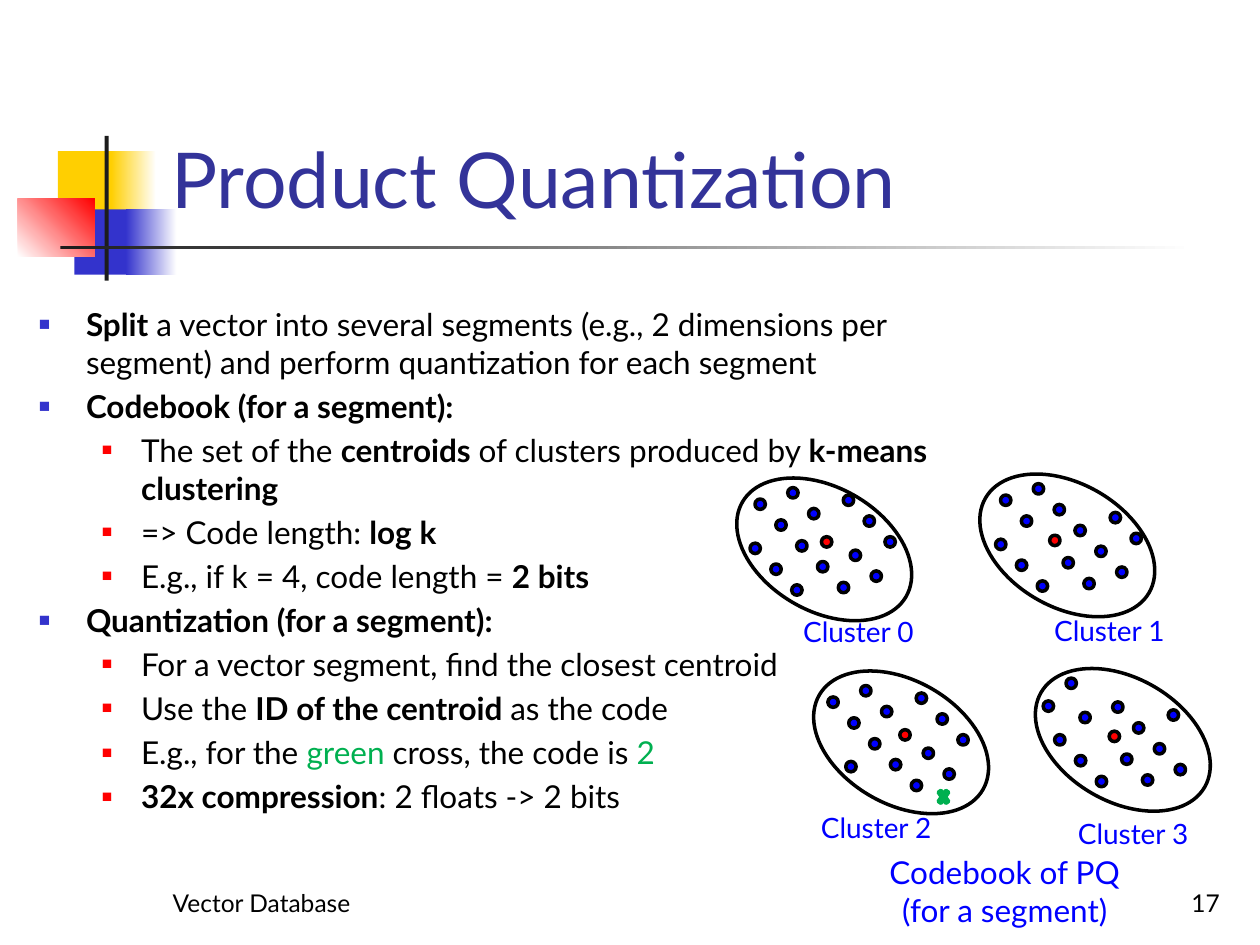
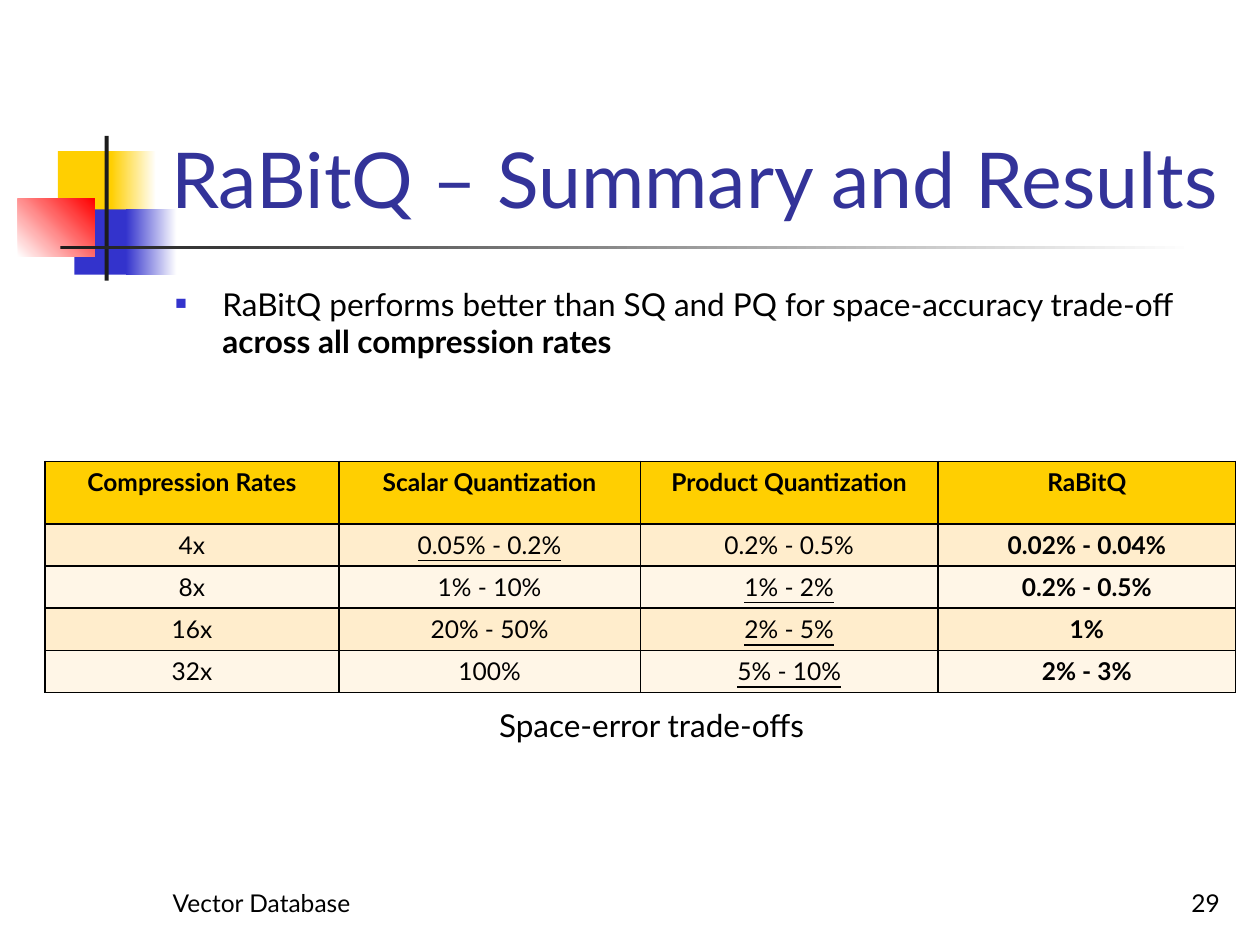
import pptx
import pptx.dml.color
import pptx.enum.shapes
import pptx.enum.text
import pptx.oxml.ns
import pptx.util
from lxml import etree

Cm = pptx.util.Cm
Pt = pptx.util.Pt
RGBColor = pptx.dml.color.RGBColor
Preset = pptx.enum.shapes.MSO_SHAPE
Align = pptx.enum.text.PP_ALIGN
Anchor = pptx.enum.text.MSO_ANCHOR
qn = pptx.oxml.ns.qn

FONT = "Lato"
BLACK = RGBColor(0x00, 0x00, 0x00)
WHITE = RGBColor(0xFF, 0xFF, 0xFF)
CHARCOAL = RGBColor(0x1C, 0x1C, 0x1C)
YELLOW = RGBColor(0xFF, 0xCF, 0x01)
INDIGO = RGBColor(0x33, 0x33, 0xCC)
TITLE_BLUE = RGBColor(0x33, 0x33, 0x99)
BLUE = RGBColor(0x00, 0x00, 0xFF)
RED = RGBColor(0xFF, 0x00, 0x00)
GREEN = RGBColor(0x00, 0xB0, 0x50)
DARK_CREAM = RGBColor(0xFF, 0xED, 0xCC)
LIGHT_CREAM = RGBColor(0xFF, 0xF6, 0xE7)


def add_block(shapes, preset, box, fill=None, line=None):
    """Add a shape; a pair of colours as fill makes a gradient."""
    shape = shapes.add_shape(preset, *[Cm(length) for length in box])
    shape.shadow.inherit = False
    if fill is None:
        shape.fill.background()
    elif isinstance(fill, list):
        shape.fill.gradient()
        shape.fill.gradient_angle = 0
        for stop, color in zip(shape.fill.gradient_stops, fill):
            stop.color.rgb = color
    else:
        shape.fill.solid()
        shape.fill.fore_color.rgb = fill
    if line is None:
        shape.line.fill.background()
    else:
        shape.line.color.rgb = line
        shape.line.width = Pt(2)
    return shape


def add_text(shapes, box, lines, size, color=BLACK, align=Align.CENTER, anchor=Anchor.TOP):
    frame = shapes.add_textbox(*[Cm(length) for length in box]).text_frame
    frame.word_wrap = True
    frame.vertical_anchor = anchor
    frame.text = "\n".join(lines)
    for paragraph in frame.paragraphs:
        paragraph.alignment = align
        paragraph.font.name = FONT
        paragraph.font.size = Pt(size)
        paragraph.font.color.rgb = color


presentation = pptx.Presentation()
presentation.slide_width = Cm(25.4)
presentation.slide_height = Cm(19.05)

# Slide contents: list items are level, text with |emphasis|, kind of emphasis
pages = [
    ("Product Quantization", "17", (0.53, 6.02, 18.69, 11.43), [
        (0, "|Split| a vector into several segments (e.g., 2 dimensions per segment) "
            "and perform quantization for each segment", "bold"),
        (0, "|Codebook (for a segment):|", "bold"),
        (1, "The set of the |centroids |of clusters produced by |k-means clustering|", "bold"),
        (1, "=> Code length: |log k|", "bold"),
        (1, "E.g., if k = 4, code length = |2 bits|", "bold"),
        (0, "|Quantization (for a segment):|", "bold"),
        (1, "For a vector segment, find the closest centroid", "bold"),
        (1, "Use the |ID of the centroid |as the code", "bold"),
        (1, "E.g., for the |green| cross, the code is |2|", "green"),
        (1, "|32x compression|: 2 floats -> 2 bits", "bold"),
    ]),
    ("RaBitQ – Summary and Results", "29", (3.28, 5.61, 21.59, 11.43), [
        (0, "RaBitQ performs better than SQ and PQ for space-accuracy trade-off "
            "|across all compression rates|", "bold"),
    ]),
]
# Per level: left margin, hanging indent, bullet colour, bullet size
levels = [(0.95, -0.95, INDIGO, 60), (2.06, -0.79, RED, 55)]

# Titles, lists and footers
slides = []
for title_text, number, body_box, items in pages:
    slide = presentation.slides.add_slide(presentation.slide_layouts[1])
    slides.append(slide)
    title, body = slide.placeholders
    for placeholder, box in ((title, (3.2, 0.58, 21.64, 4.06)), (body, body_box)):
        placeholder.left, placeholder.top, placeholder.width, placeholder.height = map(Cm, box)
        placeholder.text_frame.auto_size = pptx.enum.text.MSO_AUTO_SIZE.NONE

    title.text_frame.text = title_text
    title.text_frame.vertical_anchor = Anchor.BOTTOM
    heading = title.text_frame.paragraphs[0]
    heading.alignment = Align.LEFT
    heading.font.name = FONT
    heading.font.size = Pt(44)
    heading.font.color.rgb = TITLE_BLUE

    for index, (level, text, emphasis) in enumerate(items):
        frame = body.text_frame
        paragraph = frame.add_paragraph() if index else frame.paragraphs[0]
        paragraph.level = level
        margin, indent, bullet_color, bullet_size = levels[level]
        properties = paragraph._p.get_or_add_pPr()
        properties.set("marL", str(Cm(margin)))
        properties.set("indent", str(Cm(indent)))
        color = etree.SubElement(properties, qn("a:buClr"))
        etree.SubElement(color, qn("a:srgbClr"), val=str(bullet_color))
        etree.SubElement(properties, qn("a:buSzPct"), val=str(bullet_size * 1000))
        etree.SubElement(properties, qn("a:buChar"), char="■")
        paragraph.space_before = Pt(3.6 if index else 0)
        paragraph.font.name = FONT
        paragraph.font.size = Pt(18)
        paragraph.font.color.rgb = BLACK
        for part, words in enumerate(text.split("|")):
            if words:
                run = paragraph.add_run()
                run.text = words
                if part % 2 and emphasis == "bold":
                    run.font.bold = True
                elif part % 2:
                    run.font.color.rgb = GREEN

    add_text(slide.shapes, (3.23, 17.35, 5.28, 1.27), ["Vector Database"], 14,
             align=Align.LEFT, anchor=Anchor.BOTTOM)
    add_text(slide.shapes, (19.56, 17.35, 5.28, 1.27), [number], 14,
             align=Align.RIGHT, anchor=Anchor.BOTTOM)

codebook_slide, results_slide = slides

# Title ornament, moved to the slide master so that every slide shows it
ornament = [
    ((1.17, 3.05, 1.22, 1.32), YELLOW),
    ((2.24, 3.05, 0.91, 1.32), [YELLOW, WHITE]),
    ((1.5, 4.22, 1.17, 1.32), INDIGO),
    ((2.54, 4.22, 1.02, 1.32), [INDIGO, WHITE]),
    ((0.36, 4.01, 1.55, 1.17), [WHITE, RED]),
    ((2.11, 2.74, 0.08, 2.92), CHARCOAL),
    ((1.22, 4.95, 22.86, 0.08), [CHARCOAL, WHITE]),
]
master_tree = presentation.slide_master.placeholders[0].element.getparent()
for index, (box, fill) in enumerate(ornament):
    block = add_block(codebook_slide.shapes, Preset.RECTANGLE, box, fill)
    if fill == [WHITE, RED]:
        block.fill.gradient_angle = 45
    block.element.nvSpPr.cNvPr.set("id", str(20 + index))
    master_tree.insert(2 + index, block.element)

# Clusters: corner, centroid, label corner, diagonals of points.
# A diagonal is its start inside the cluster and the steps that hold a point.
DOT = 0.21
STEP = 0.42
clusters = [
    ((14.71, 9.83), (1.85, 0.99), (14.5, 12.27),
     [(1.17, 0, (0, 1, 3, 4)), (0.51, 0.23, range(5)),
      (0.41, 1.12, range(3)), (2.29, 0.15, range(3))]),
    ((19.61, 9.75), (1.55, 1.04), (19.56, 12.24),
     [(1.22, 0, range(5)), (0.56, 0.23, (0, 1, 3, 4)),
      (0.46, 1.12, range(3)), (2.77, 0.58, range(2))]),
    ((16.26, 13.72), (1.88, 0.99), (14.86, 16.21),
     [(1.09, 0.1, (0, 1, 3, 4)), (0.43, 0.33, range(5)),
      (0.79, 1.63, range(1)), (2.21, 0.25, range(3))]),
    ((20.73, 13.67), (1.63, 1.07), (20.04, 16.33),
     [(0.76, 0, range(1)), (1.7, 0.48, range(4)), (0.3, 0.46, range(1)),
      (1.04, 0.69, (0, 2, 3)), (0.53, 1.14, range(3)), (2.82, 0.64, range(1))]),
]
for number, ((left, top), centroid, label, diagonals) in enumerate(clusters):
    group = codebook_slide.shapes.add_group_shape().shapes
    outline = add_block(group, Preset.OVAL, (left, top, 3.81, 2.49), line=BLACK)
    outline.rotation = 30
    dots = [(x + STEP * step, y + STEP * step, BLUE)
            for x, y, steps in diagonals for step in steps]
    for x, y, color in dots + [(*centroid, RED)]:
        add_block(group, Preset.OVAL, (left + x, top + y, DOT, DOT), color, BLACK)
    add_text(group, (*label, 5.61, 0.94), [f"Cluster {number}"], 16, BLUE)

# Query vector and caption
add_block(codebook_slide.shapes, Preset.MATH_MULTIPLY, (18.87, 15.85, 0.3, 0.43), GREEN, GREEN)
add_text(codebook_slide.shapes, (17.45, 17.07, 5.61, 1.8),
         ["Codebook of PQ", "(for a segment)"], 18, BLUE)

# Table of errors; an underscore marks the runner-up of a row
errors = [
    ("Compression Rates", "Scalar Quantization", "Product Quantization", "RaBitQ"),
    ("4x", "_0.05% - 0.2%", "0.2% - 0.5%", "0.02% - 0.04%"),
    ("8x", "1% - 10%", "_1% - 2%", "0.2% - 0.5%"),
    ("16x", "20% - 50%", "_2% - 5%", "1%"),
    ("32x", "100%", "_5% - 10%", "2% - 3%"),
]
table = results_slide.shapes.add_table(
    5, 4, Cm(0.91), Cm(9.3), Cm(24), Cm(4.65)).table
for column, width in zip(table.columns, (5.92, 6.08, 6, 6)):
    column.width = Cm(width)
for row_index, values in enumerate(errors):
    table.rows[row_index].height = Cm(0.85 if row_index else 1.26)
    for column_index, value in enumerate(values):
        cell = table.cell(row_index, column_index)
        properties = cell._tc.get_or_add_tcPr()
        for side in ("a:lnL", "a:lnR", "a:lnT", "a:lnB"):
            border = etree.SubElement(properties, qn(side), w=str(Pt(1)))
            border_fill = etree.SubElement(border, qn("a:solidFill"))
            etree.SubElement(border_fill, qn("a:srgbClr"), val=str(BLACK))
        cell.fill.solid()
        stripe = DARK_CREAM if row_index % 2 else LIGHT_CREAM
        cell.fill.fore_color.rgb = stripe if row_index else YELLOW
        cell.text = value.lstrip("_")
        paragraph = cell.text_frame.paragraphs[0]
        paragraph.alignment = Align.CENTER
        paragraph.font.name = FONT
        paragraph.font.size = Pt(14)
        paragraph.font.color.rgb = BLACK
        paragraph.font.bold = row_index == 0 or column_index == 3
        paragraph.font.underline = value.startswith("_")

add_text(results_slide.shapes, (7.19, 14.1, 11.89, 1.02), ["Space-error trade-offs"], 18)

presentation.save("out.pptx")
